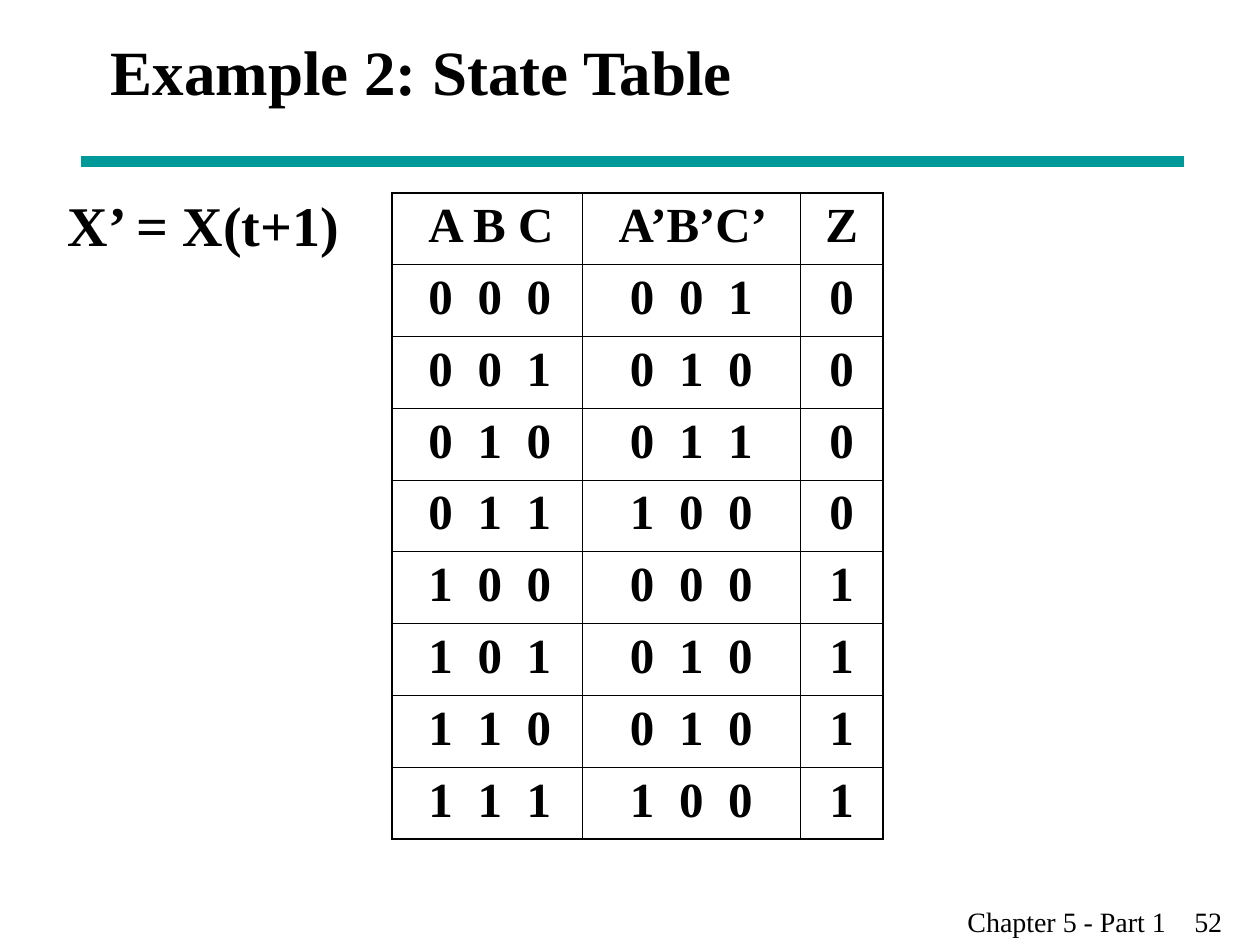
"""Builds the state table slide for the second sequential circuit example."""
from dataclasses import dataclass

from lxml.etree import SubElement
from pptx import Presentation
from pptx.dml.color import RGBColor
from pptx.enum.shapes import MSO_CONNECTOR
from pptx.enum.text import MSO_ANCHOR, PP_ALIGN
from pptx.oxml.ns import qn
from pptx.util import Inches, Pt


@dataclass(frozen=True)
class Theme:
    font: str = "Times New Roman"
    ink: str = "000000"
    accent: str = "009999"
    title: int = 36
    formula: int = 32
    table: int = 28
    footer: int = 16
    rule: float = 6
    outer_border: float = 1.08
    inner_border: float = 0.45


class StateTableSlide:
    def __init__(self, page, theme):
        self.page = page
        self.theme = theme

    def fill_text(self, frame, text, size, bold=True, align=PP_ALIGN.LEFT, tabs=()):
        para = frame.paragraphs[0]
        para.text = text
        para.alignment = align
        if tabs:
            stops = SubElement(para._p.get_or_add_pPr(), qn("a:tabLst"))
            for position in tabs:
                SubElement(stops, qn("a:tab"), pos=str(Inches(position)), algn="l")
        font = para.font
        font.name = self.theme.font
        font.size = Pt(size)
        font.bold = bold
        font.color.rgb = RGBColor.from_string(self.theme.ink)

    def text(self, left, top, width, height, text, size, anchor=MSO_ANCHOR.TOP, **style):
        box = self.page.shapes.add_textbox(
            Inches(left), Inches(top), Inches(width), Inches(height))
        box.text_frame.word_wrap = True
        box.text_frame.vertical_anchor = anchor
        self.fill_text(box.text_frame, text, size, **style)

    def rule(self, left, right, height):
        line = self.page.shapes.add_connector(
            MSO_CONNECTOR.STRAIGHT,
            Inches(left), Inches(height), Inches(right), Inches(height))
        line.line.color.rgb = RGBColor.from_string(self.theme.accent)
        line.line.width = Pt(self.theme.rule)
        SubElement(line._element.spPr, qn("a:effectLst"))

    def borders(self, cell, outer_sides):
        properties = cell._tc.get_or_add_tcPr()
        for side in "LRTB":
            width = self.theme.outer_border if outer_sides[side] else self.theme.inner_border
            border = SubElement(properties, qn(f"a:ln{side}"), w=str(Pt(width)))
            fill = SubElement(border, qn("a:solidFill"))
            SubElement(fill, qn("a:srgbClr"), val=self.theme.ink)

    def table(self, left, top, widths, row_height, rows, indents, pitch):
        last_row, last_column = len(rows) - 1, len(widths) - 1
        table = self.page.shapes.add_table(
            len(rows), len(widths), Inches(left), Inches(top),
            Inches(sum(widths)), Inches(row_height * len(rows))).table
        table.first_row = table.horz_banding = False
        for column, width in zip(table.columns, widths):
            column.width = Inches(width)
        for r, values in enumerate(rows):
            table.rows[r].height = Inches(row_height)
            for c, value in enumerate(values):
                cell = table.cell(r, c)
                self.borders(cell, {"L": c == 0, "R": c == last_column,
                                    "T": r == 0, "B": r == last_row})
                cell.fill.background()
                cell.margin_left = Inches(indents[min(r, 1)][c])
                align = PP_ALIGN.CENTER if c == last_column else PP_ALIGN.LEFT
                tabs = (pitch, 2 * pitch) if "\t" in value else ()
                self.fill_text(cell.text_frame, value, self.theme.table, align=align, tabs=tabs)


def main():
    deck = Presentation()
    deck.slide_width, deck.slide_height = Inches(10), Inches(7.5)
    theme = Theme()
    slide = StateTableSlide(deck.slides.add_slide(deck.slide_layouts[6]), theme)

    next_states = ["001", "010", "011", "100", "000", "010", "010", "100"]
    rows = [["A B C", "A’B’C’", "Z"]]
    for state, next_state in enumerate(next_states):
        bits = f"{state:03b}"
        rows.append(["\t".join(bits), "\t".join(next_state), bits[0]])

    slide.rule(0.64, 9.4, 1.28)
    slide.text(7.58, 7.13, 2.42, 0.37, "Chapter 5 - Part 1\t52", theme.footer,
               bold=False, tabs=(1.8,))
    slide.text(0.78, 0, 8.5, 1.12, "Example 2: State Table", theme.title,
               anchor=MSO_ANCHOR.MIDDLE)
    slide.table(3.11, 1.53, (1.51, 1.73, 0.66), 0.57, rows,
                indents=((0.29, 0.29, 0.1), (0.29, 0.38, 0.1)), pitch=0.39)
    slide.text(0.44, 1.46, 2.54, 0.64, "X’ = X(t+1)", theme.formula)
    deck.save("out.pptx")


if __name__ == "__main__":
    main()
